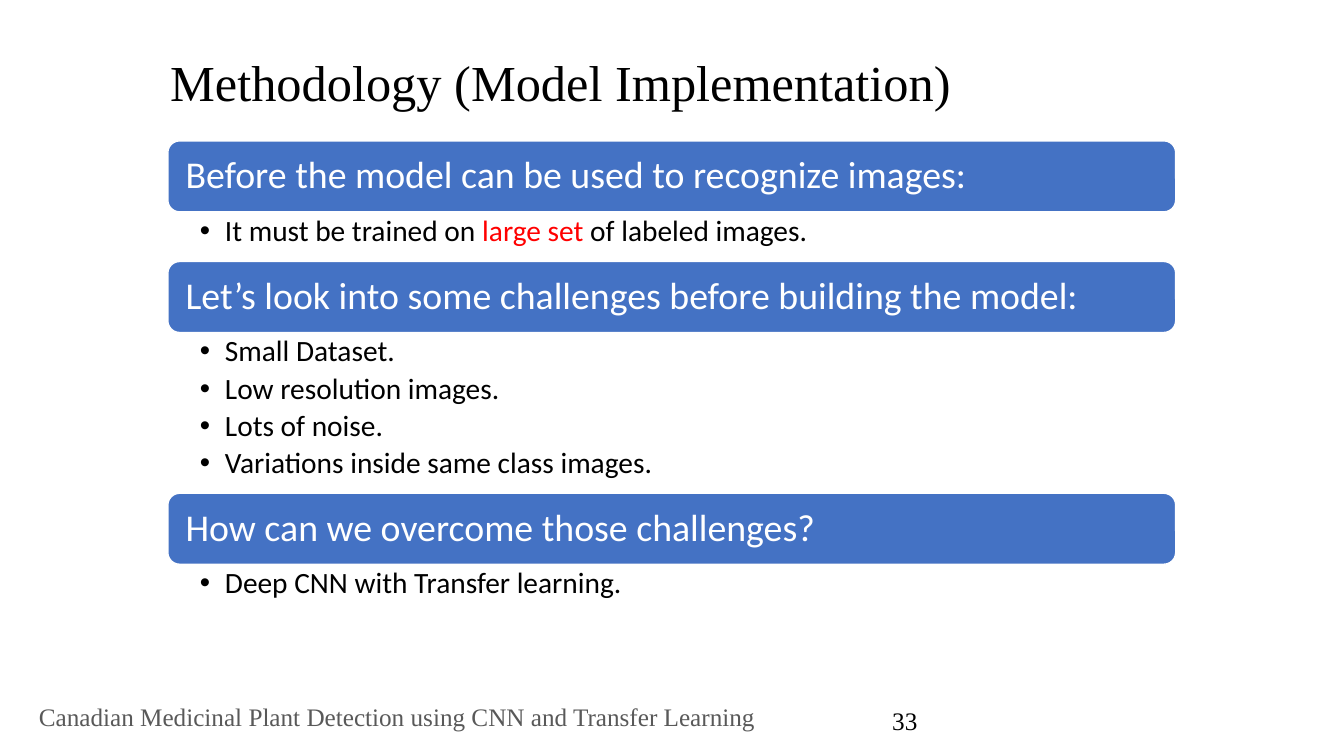
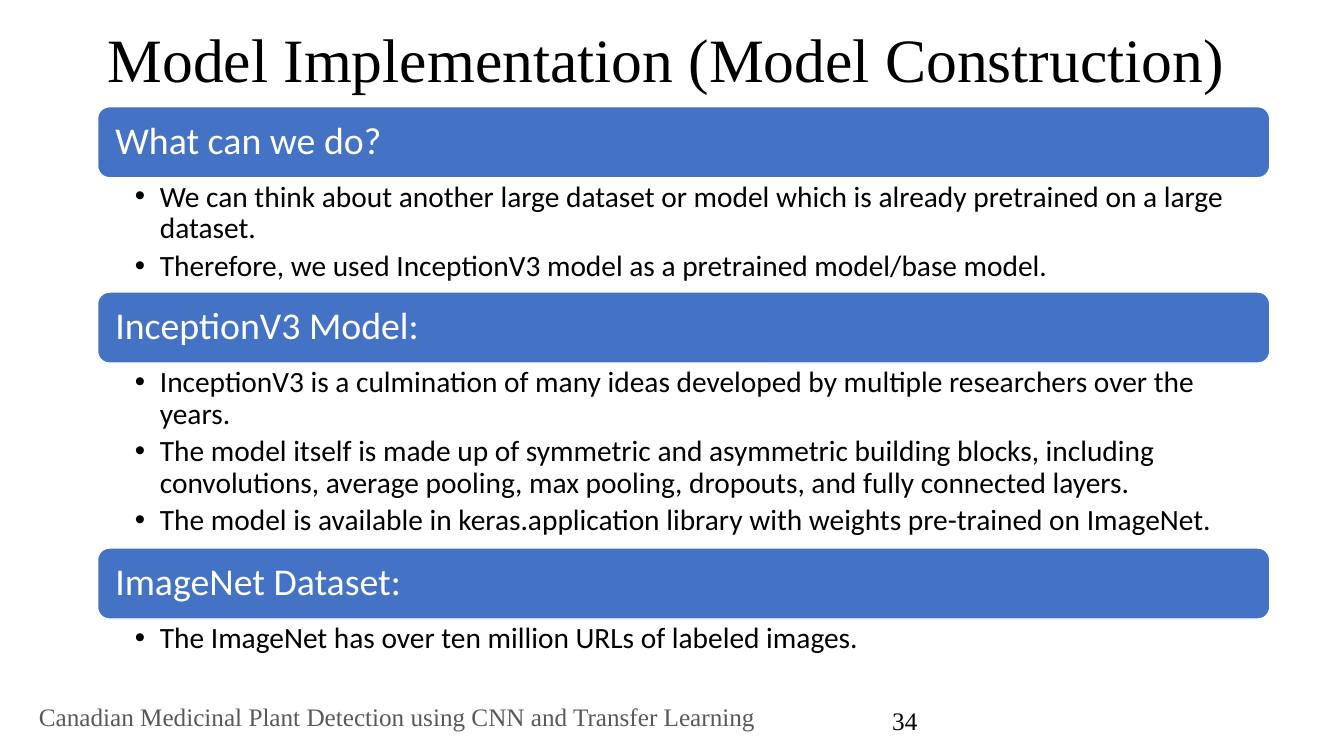
from dataclasses import dataclass

from lxml import etree
from pptx import Presentation
from pptx.dml.color import RGBColor
from pptx.enum.shapes import MSO_SHAPE
from pptx.enum.text import MSO_ANCHOR, PP_ALIGN
from pptx.oxml.ns import qn
from pptx.util import Cm, Pt

ROUNDED = MSO_SHAPE.ROUNDED_RECTANGLE
TOP, MIDDLE = MSO_ANCHOR.TOP, MSO_ANCHOR.MIDDLE
LEFT, CENTER, RIGHT = PP_ALIGN.LEFT, PP_ALIGN.CENTER, PP_ALIGN.RIGHT


@dataclass(frozen=True)
class Theme:
    black: RGBColor = RGBColor(0x00, 0x00, 0x00)
    white: RGBColor = RGBColor(0xFF, 0xFF, 0xFF)
    blue: RGBColor = RGBColor(0x44, 0x72, 0xC4)
    red: RGBColor = RGBColor(0xFF, 0x00, 0x00)
    gray: RGBColor = RGBColor(0x59, 0x59, 0x59)
    serif: str = "Times New Roman"
    sans: str = "Calibri"
    heading_size: int = 27
    bullet_size: int = 21
    footer_size: int = 18
    line_spacing: float = 0.9


THEME = Theme()

# Content: a bullet is a list of text pieces, every second one highlighted.
# Boxes are left, top, width, height in cm; each section ends with the height of its bullets.
FOOTER = "Canadian Medicinal Plant Detection using CNN and Transfer Learning"
SLIDES = [
    {
        "number": "33",
        "title": "Methodology (Model Implementation)",
        "title_size": 36,
        "title_box": (4.04, 1.17, 25.6, 1.98),
        "list_box": (4.23, 3.55, 25.4),
        "bullet_inset": 0.81,
        "sections": [
            ("Before the model can be used to recognize images:",
             [["It must be trained on ", "large set", " of labeled images."]], 1.25),
            ("Let’s look into some challenges before building the model:",
             [["Small Dataset."],
              ["Low resolution images."],
              ["Lots of noise."],
              ["Variations inside same class images."]], 4.05),
            ("How can we overcome those challenges?",
             [["Deep CNN with Transfer learning."]], 1.25),
        ],
    },
    {
        "number": "34",
        "title": "Model Implementation (Model Construction)",
        "title_size": 44,
        "title_box": (2.46, 0.91, 29.54, 1.32),
        "list_box": (2.46, 2.69, 29.54),
        "bullet_inset": 0.94,
        "sections": [
            ("What can we do?",
             [["We can think about another large dataset or model which is already "
               "pretrained on a large dataset."],
              ["Therefore, we used InceptionV3 model as a pretrained model/base model."]], 2.88),
            ("InceptionV3 Model:",
             [["InceptionV3 is a culmination of many ideas developed by multiple "
               "researchers over the years."],
              ["The model itself is made up of symmetric and asymmetric building blocks, "
               "including convolutions, average pooling, max pooling, dropouts, and fully "
               "connected layers."],
              ["The model is available in keras.application library with weights "
               "pre-trained on ImageNet."]], 4.66),
            ("ImageNet Dataset:",
             [["The ImageNet has over ten million URLs of labeled images."]], 1.25),
        ],
    },
]

# Shared geometry in cm
SLIDE_SIZE = (33.87, 19.05)
FOOTER_BOX = (0.03, 17.45, 19.96, 1.22)
NUMBER_BOX = (21.54, 17.65, 1.83, 1.02)
BAR_HEIGHT = 1.79
TEXT_INSETS = (0.25, 0.13, 0.25, 0.13)
BAR_INSETS = (0.36, 0.36, 0.36, 0.36)
BULLET_INDENT = 0.63


def prepare_frame(shape, anchor, insets):
    frame = shape.text_frame
    frame.word_wrap = True
    frame.vertical_anchor = anchor
    (frame.margin_left, frame.margin_top,
     frame.margin_right, frame.margin_bottom) = map(Cm, insets)
    return frame


def format_run(run, font_name, size, color):
    run.font.name = font_name
    run.font.size = Pt(size)
    run.font.color.rgb = color


def write_line(shape, text, font_name, size, color, align=LEFT, anchor=MIDDLE,
               insets=TEXT_INSETS, spacing=1.0):
    frame = prepare_frame(shape, anchor, insets)
    frame.text = text
    paragraph = frame.paragraphs[0]
    paragraph.alignment = align
    paragraph.line_spacing = spacing
    format_run(paragraph.runs[0], font_name, size, color)


def add_text_box(slide, box):
    return slide.shapes.add_textbox(*map(Cm, box))


def add_bar(slide, box, heading):
    bar = slide.shapes.add_shape(ROUNDED, *map(Cm, box))
    bar.shadow.inherit = False
    bar.fill.solid()
    bar.fill.fore_color.rgb = THEME.blue
    bar.line.color.rgb = THEME.white
    bar.line.width = Pt(1)
    write_line(bar, heading, THEME.sans, THEME.heading_size, THEME.white,
               insets=BAR_INSETS, spacing=THEME.line_spacing)


def set_bullet(paragraph):
    properties = paragraph._p.get_or_add_pPr()
    properties.set("marL", str(Cm(BULLET_INDENT)))
    properties.set("indent", str(-Cm(BULLET_INDENT)))
    etree.SubElement(properties, qn("a:buFont")).set("typeface", "Arial")
    etree.SubElement(properties, qn("a:buChar")).set("char", "•")


def add_bullets(slide, box, bullets, left_inset):
    frame = prepare_frame(add_text_box(slide, box), TOP, (left_inset, 0.1, 0.53, 0.1))
    for index, pieces in enumerate(bullets):
        paragraph = frame.add_paragraph() if index else frame.paragraphs[0]
        set_bullet(paragraph)
        paragraph.line_spacing = THEME.line_spacing
        paragraph.space_after = Pt(4)
        for position, piece in enumerate(pieces):
            run = paragraph.add_run()
            run.text = piece
            color = THEME.red if position % 2 else THEME.black
            format_run(run, THEME.sans, THEME.bullet_size, color)


def add_frame_texts(slide, content):
    """Footer, title and slide number."""
    write_line(add_text_box(slide, FOOTER_BOX), FOOTER, THEME.serif,
               THEME.footer_size, THEME.gray, align=CENTER)
    write_line(add_text_box(slide, content["title_box"]), content["title"], THEME.serif,
               content["title_size"], THEME.black, spacing=THEME.line_spacing)
    write_line(add_text_box(slide, NUMBER_BOX), content["number"], THEME.serif,
               THEME.footer_size, THEME.black, align=RIGHT, anchor=TOP)


def add_sections(slide, content):
    """Bars with their bullets, stacked from the top."""
    left, top, width = content["list_box"]
    for heading, bullets, height in content["sections"]:
        add_bar(slide, (left, top, width, BAR_HEIGHT), heading)
        top += BAR_HEIGHT
        add_bullets(slide, (left, top, width, height), bullets, content["bullet_inset"])
        top += height


def main():
    presentation = Presentation()
    presentation.slide_width, presentation.slide_height = map(Cm, SLIDE_SIZE)
    blank_layout = presentation.slide_layouts[6]
    for content in SLIDES:
        slide = presentation.slides.add_slide(blank_layout)
        add_frame_texts(slide, content)
        add_sections(slide, content)
    presentation.save("out.pptx")


if __name__ == "__main__":
    main()
